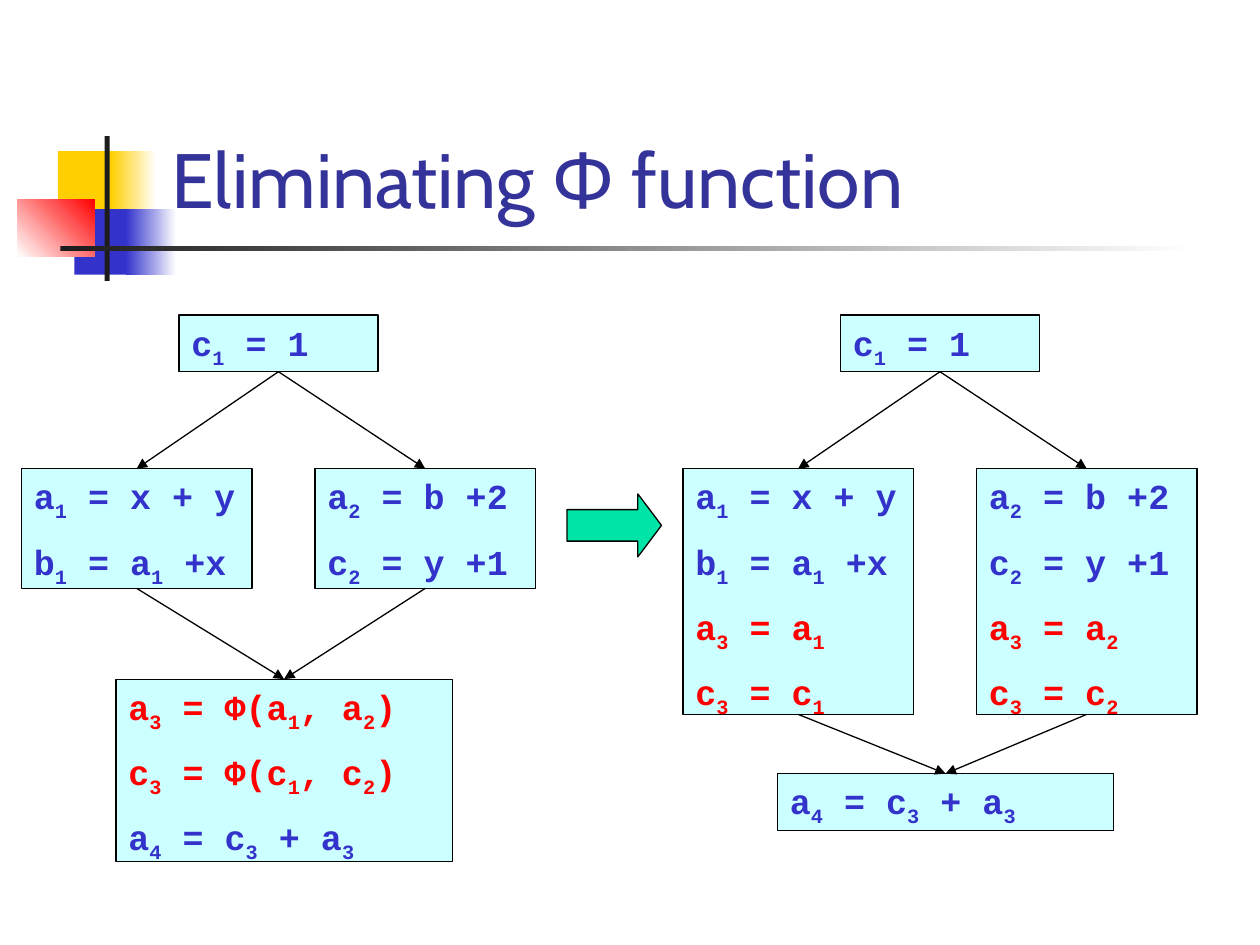
"""Build a slide on eliminating phi functions: two flow graphs joined by an arrow."""
from dataclasses import dataclass

from lxml import etree
from pptx import Presentation, util as u
from pptx.dml.color import RGBColor
from pptx.enum import shapes as sh, text as tx
from pptx.oxml.ns import qn


@dataclass(frozen=True)
class Theme:
    """Colours, fonts and sizes."""
    ink: str = "3333CC"
    red: str = "FF0000"
    box: str = "CCFFFF"
    line: str = "000000"
    go: str = "00E4A8"
    gold: str = "FFCF01"
    dark: str = "1C1C1C"
    white: str = "FFFFFF"
    head: str = "333399"
    head_font: str = "Cabin"
    code_font: str = "Courier New"
    head_size: int = 44
    code_size: int = 20
    gap: int = 10
    rule: float = 0.75


T = Theme()
TITLE = "Eliminating Φ function"

DECOR = [
    ((0.46, 1.2, 0.48, 0.52), (T.gold,), 0),
    ((0.88, 1.2, 0.36, 0.52), (T.gold, T.white), 0),
    ((0.59, 1.66, 0.46, 0.52), (T.ink,), 0),
    ((1, 1.66, 0.4, 0.52), (T.ink, T.white), 0),
    ((0.14, 1.58, 0.61, 0.46), (T.white, T.red), 45),
    ((0.83, 1.08, 0.04, 1.15), (T.dark,), 0),
    ((0.48, 1.95, 9, 0.04), (T.dark, T.white), 0),
]

INIT = [("c_1 = 1", T.ink)]
LEFT = [("a_1 = x + y", T.ink), ("b_1 = a_1 +x", T.ink)]
RIGHT = [("a_2 = b +2", T.ink), ("c_2 = y +1", T.ink)]
PHI = [("a_3 = Φ(a_1, a_2)", T.red), ("c_3 = Φ(c_1, c_2)", T.red)]
SUM = [("a_4 = c_3 + a_3", T.ink)]
COPY_L = [("a_3 = a_1", T.red), ("c_3 = c_1", T.red)]
COPY_R = [("a_3 = a_2", T.red), ("c_3 = c_2", T.red)]

GRAPHS = [
    (INIT, LEFT, RIGHT, PHI + SUM),
    (INIT, LEFT + COPY_L, RIGHT + COPY_R, SUM),
]
COLS = [(1.42, 1.58), (0.17, 1.83), (2.5, 1.75), (0.92, 2.67)]
ENDS = [5.39, 6.14]
TOP, MID = 2.5, 3.72
SHIFT = 5.25
ROW, STEP = 0.45, 0.5
EDGES = [(0, 1), (0, 2), (1, 3), (2, 3)]


def paint(shape, cols, turn=0):
    """Fill a shape with one colour or a two-colour blend."""
    shape.shadow.inherit = False
    if len(cols) == 1:
        shape.fill.solid()
        shape.fill.fore_color.rgb = RGBColor.from_string(cols[0])
        return
    shape.fill.gradient()
    shape.fill.gradient_angle = turn
    for stop, col in zip(shape.fill.gradient_stops, cols):
        stop.color.rgb = RGBColor.from_string(col)


def edge(item):
    """Give a shape or connector the thin outline."""
    item.line.color.rgb = RGBColor.from_string(T.line)
    item.line.width = u.Pt(T.rule)


def place(slide, kind, at):
    """Add a preset shape at a place in inches."""
    return slide.shapes.add_shape(kind, *map(u.Inches, at))


def write(para, words, font, size, col, bold=False, sub=False):
    """Add one styled run."""
    run = para.add_run()
    run.text = words
    run.font.name, run.font.size, run.font.bold = font, u.Pt(size), bold
    run.font.color.rgb = RGBColor.from_string(col)
    if sub:
        run.font._element.set("baseline", "-25000")


def block(slide, at, lines):
    """Add a code box, with each mark after an underscore set low."""
    shape = place(slide, sh.MSO_SHAPE.RECTANGLE, at)
    paint(shape, (T.box,))
    edge(shape)
    frame = shape.text_frame
    frame.word_wrap = True
    frame.vertical_anchor = tx.MSO_ANCHOR.TOP
    for i, (code, col) in enumerate(lines):
        para = frame.add_paragraph() if i else frame.paragraphs[0]
        para.alignment = tx.PP_ALIGN.LEFT
        para.space_before = u.Pt(T.gap if i else 0)
        name, *rest = code.split("_")
        pieces = [(name, False)]
        for part in rest:
            pieces += [(part[0], True), (part[1:], False)]
        for words, sub in pieces:
            if words:
                write(para, words, T.code_font, T.code_size, col, True, sub)
    return shape


def link(slide, a, b):
    """Join the foot of one box to the top of the next."""
    wire = slide.shapes.add_connector(sh.MSO_CONNECTOR.STRAIGHT, 0, 0, 0, 0)
    wire.begin_connect(a, 2)
    wire.end_connect(b, 0)
    edge(wire)
    tail = etree.SubElement(wire.line._get_or_add_ln(), qn("a:tailEnd"))
    tail.set("type", "triangle")
    etree.SubElement(wire._element.spPr, qn("a:effectLst"))


def graph(slide, side, texts):
    """Draw one flow graph."""
    tops = (TOP, MID, MID, ENDS[side])
    nodes = [
        block(slide, (x + side * SHIFT, y, w, ROW + STEP * (len(lines) - 1)), lines)
        for (x, w), y, lines in zip(COLS, tops, texts)
    ]
    for a, b in EDGES:
        link(slide, nodes[a], nodes[b])


def main():
    """Build and save the slide."""
    deck = Presentation()
    deck.slide_width, deck.slide_height = u.Inches(10), u.Inches(7.5)
    slide = deck.slides.add_slide(deck.slide_layouts[5])
    for at, cols, turn in DECOR:
        shape = place(slide, sh.MSO_SHAPE.RECTANGLE, at)
        paint(shape, cols, turn)
        shape.line.fill.background()

    title = slide.shapes.title
    title.left, title.top, title.width, title.height = map(u.Inches, (1.26, 0.23, 8.52, 1.6))
    title.text_frame.vertical_anchor = tx.MSO_ANCHOR.BOTTOM
    para = title.text_frame.paragraphs[0]
    para.alignment = tx.PP_ALIGN.LEFT
    write(para, TITLE, T.head_font, T.head_size, T.head)
    slide.shapes._spTree.append(title._element)

    arrow = place(slide, sh.MSO_SHAPE.RIGHT_ARROW, (4.5, 3.92, 0.75, 0.5))
    arrow.adjustments[0], arrow.adjustments[1] = 0.5, 0.375
    paint(arrow, (T.go,))
    edge(arrow)
    for side, texts in enumerate(GRAPHS):
        graph(slide, side, texts)
    deck.save("out.pptx")


if __name__ == "__main__":
    main()
